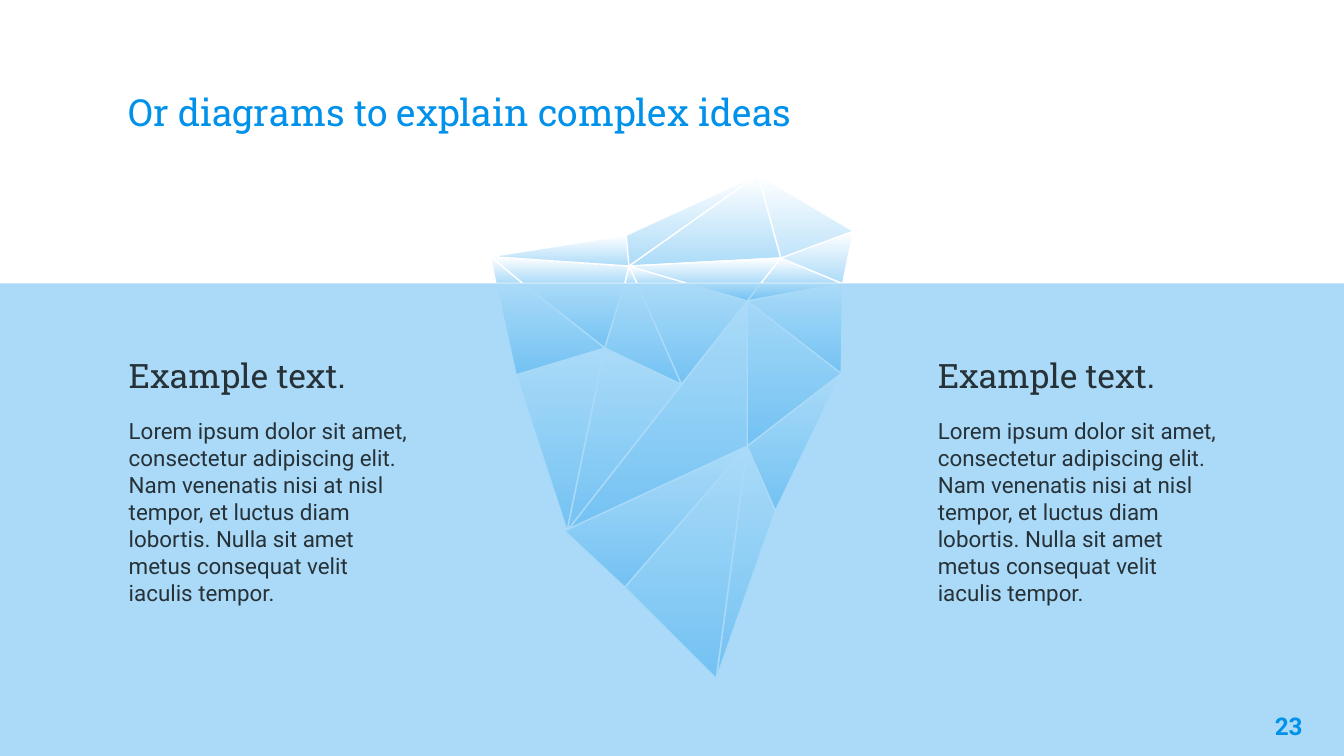
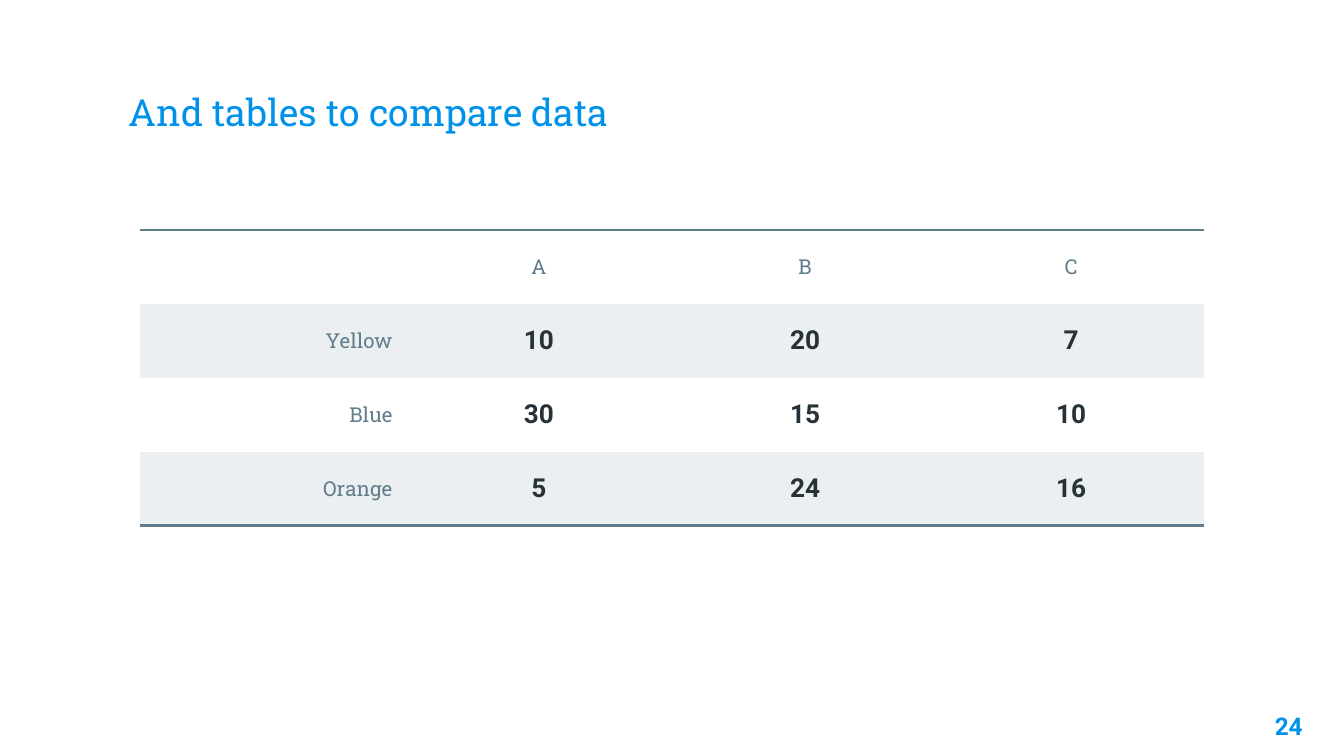
from dataclasses import dataclass

from lxml import etree
from pptx import Presentation
from pptx.dml.color import RGBColor as Color
from pptx.enum.shapes import MSO_SHAPE as Shape
from pptx.enum.text import MSO_ANCHOR as Anchor, PP_ALIGN as Align
from pptx.oxml.ns import qn
from pptx.util import Inches, Pt


@dataclass(frozen=True)
class Theme:
    blue: str = "0091EA"
    ice: str = "ACDBF8"
    white: str = "FFFFFF"
    dark: str = "263238"
    slate: str = "607D8B"
    pale: str = "ECEFF1"
    slab: str = "Roboto Slab"
    sans: str = "Roboto"
    title: int = 20
    head: int = 18
    body: int = 12
    page: int = 13
    label: int = 11
    value: int = 14
    plain: str = "{2D5ABB26-0587-4C30-8999-92F81FD0307C}"  # no style, no grid


LOREM = (
    "Lorem ipsum dolor sit amet, consectetur adipiscing elit. Nam venenatis nisi "
    "at nisl tempor, et luctus diam lobortis. Nulla sit amet metus consequat velit "
    "iaculis tempor."
)
SEA = 2.11
CORNERS = {
    "a": (5.64, 1.3), "b": (6.35, 1.72), "c": (6.27, SEA), "d": (5.81, 1.92),
    "e": (4.68, 1.98), "f": (3.65, 1.91), "g": (4.66, 1.75), "h": (3.89, SEA),
    "i": (3.69, SEA), "j": (4.65, SEA), "k": (4.74, SEA), "l": (5.12, SEA),
    "m": (5.66, SEA), "n": (4.5, 2.59), "o": (3.84, 2.79), "p": (4.22, 3.95),
    "q": (4.2, 3.95), "r": (5.07, 2.86), "s": (5.56, 2.24), "t": (5.56, 3.32),
    "u": (6.26, 2.78), "v": (5.77, 3.8), "w": (5.33, 5.05), "x": (4.65, 4.37),
}
# Each facet is a run of corner letters, from back to front.
FACETS = (
    "cfh aed abcd fhi ejhf aefg dcm kel fhi gef bdc kej cuts npo "
    "jnh tvw csm rkls rnp spt hnoi csu nrkj qtx xwt uvt edml sml"
).split()
ROWS = [
    ("", "A", "B", "C"),
    ("Yellow", "10", "20", "7"),
    ("Blue", "30", "15", "10"),
    ("Orange", "5", "24", "16"),
]


def paint(fill, color):
    fill.solid()
    fill.fore_color.rgb = Color.from_string(color)


def write(frame, text, *, font, size, color, bold=False, align=Align.LEFT, before=0):
    """Put text in the frame's first paragraph, or in a new one if it is taken."""
    para = frame.add_paragraph() if frame.text else frame.paragraphs[0]
    para.alignment = align
    para.space_before = Pt(before)
    run = para.add_run()
    run.text = text
    run.font.name = font
    run.font.size = Pt(size)
    run.font.bold = bold
    run.font.color.rgb = Color.from_string(color)


def rule(cell, side, color, width):
    """Draw one border of a cell; side is T or B."""
    line = etree.Element(qn(f"a:ln{side}"), w=str(Pt(width)))
    fill = etree.SubElement(line, qn("a:solidFill"))
    etree.SubElement(fill, qn("a:srgbClr"), val=color)
    cell._tc.get_or_add_tcPr().insert(0, line)


class Deck:
    def __init__(self, theme):
        self.theme = theme
        self.show = Presentation()
        self.show.slide_width = Inches(10)
        self.show.slide_height = Inches(10) * 9 // 16
        self.slide = None

    def start(self):
        self.slide = self.show.slides.add_slide(self.show.slide_layouts[6])

    def box(self, x, y, w, h, pad=0.1, anchor=Anchor.TOP):
        place = map(Inches, (x, y, w, h))
        frame = self.slide.shapes.add_textbox(*place).text_frame
        frame.word_wrap = True
        frame.vertical_anchor = anchor
        frame.margin_left = frame.margin_right = Inches(0.1)
        frame.margin_top = frame.margin_bottom = Inches(pad)
        return frame

    def title(self, text):
        t = self.theme
        frame = self.box(0.86, 0.33, 8.28, 0.77, anchor=Anchor.BOTTOM)
        write(frame, text, font=t.slab, size=t.title, color=t.blue)

    def page(self, number):
        t = self.theme
        frame = self.box(9.19, 5.19, 0.6, 0.43)
        write(frame, str(number), font=t.sans, size=t.page, color=t.blue,
              bold=True, align=Align.RIGHT)

    def note(self, x, head, body):
        t = self.theme
        frame = self.box(x, 2.59, 2.3, 2.65, pad=0.05)
        write(frame, head, font=t.slab, size=t.head, color=t.dark)
        write(frame, body, font=t.sans, size=t.body, color=t.dark, before=12)

    def water(self, top):
        show, y = self.show, Inches(top)
        band = self.slide.shapes.add_shape(
            Shape.RECTANGLE, 0, y, show.slide_width, show.slide_height - y)
        band.shadow.inherit = False
        band.line.fill.background()
        paint(band.fill, self.theme.blue)
        tone = band.element.spPr.find(f"{qn('a:solidFill')}/{qn('a:srgbClr')}")
        etree.SubElement(tone, qn("a:alpha"), val="33000")

    def facet(self, group, points):
        t = self.theme
        first, *rest = [tuple(map(Inches, point)) for point in points]
        pen = group.shapes.build_freeform(*first)
        pen.add_line_segments(rest, close=True)
        shape = pen.convert_to_shape()
        shape.shadow.inherit = False
        shape.fill.gradient()
        shape.fill.gradient_angle = 270
        for stop, color in zip(shape.fill.gradient_stops, (t.white, t.ice)):
            stop.color.rgb = Color.from_string(color)
        paint(shape.line.fill, t.white)
        shape.line.width = Pt(0.75)

    def iceberg(self):
        group = self.slide.shapes.add_group_shape()
        for facet in FACETS:
            self.facet(group, [CORNERS[key] for key in facet])

    def table(self, rows, x, y, wide, high):
        t = self.theme
        count = len(rows[0])
        place = map(Inches, (x, y, wide * count, high * len(rows)))
        frame = self.slide.shapes.add_table(len(rows), count, *place)
        next(frame.element.iter(qn("a:tableStyleId"))).text = t.plain
        grid = frame.table
        grid.first_row = grid.horz_banding = False
        for r, row in enumerate(rows):
            for c, text in enumerate(row):
                self.cell(grid.cell(r, c), text, r, c)
                if r == 0:
                    rule(grid.cell(r, c), "T", t.slate, 1.5)
                if r == len(rows) - 1:
                    rule(grid.cell(r, c), "B", t.slate, 1.5)

    def cell(self, cell, text, r, c):
        t = self.theme
        cell.vertical_anchor = Anchor.MIDDLE
        cell.margin_left = cell.margin_right = Inches(0.1)
        cell.margin_top = cell.margin_bottom = Inches(0.07)
        if r % 2:
            paint(cell.fill, t.pale)
        else:
            cell.fill.background()
        if r and c:
            look = dict(font=t.sans, size=t.value, color=t.dark, bold=True)
        else:
            look = dict(font=t.slab, size=t.label, color=t.slate)
        if text:
            align = Align.CENTER if c else Align.RIGHT
            write(cell.text_frame, text, align=align, **look)


def main():
    deck = Deck(Theme())

    deck.start()
    deck.iceberg()
    deck.title("Or diagrams to explain complex ideas")
    deck.water(SEA)
    for x in (0.86, 6.88):
        deck.note(x, "Example text.", LOREM)
    deck.page(23)

    deck.start()
    deck.title("And tables to compare data")
    deck.table(ROWS, 1.04, 1.71, 1.98, 0.55)
    deck.page(24)

    deck.show.save("out.pptx")


if __name__ == "__main__":
    main()
